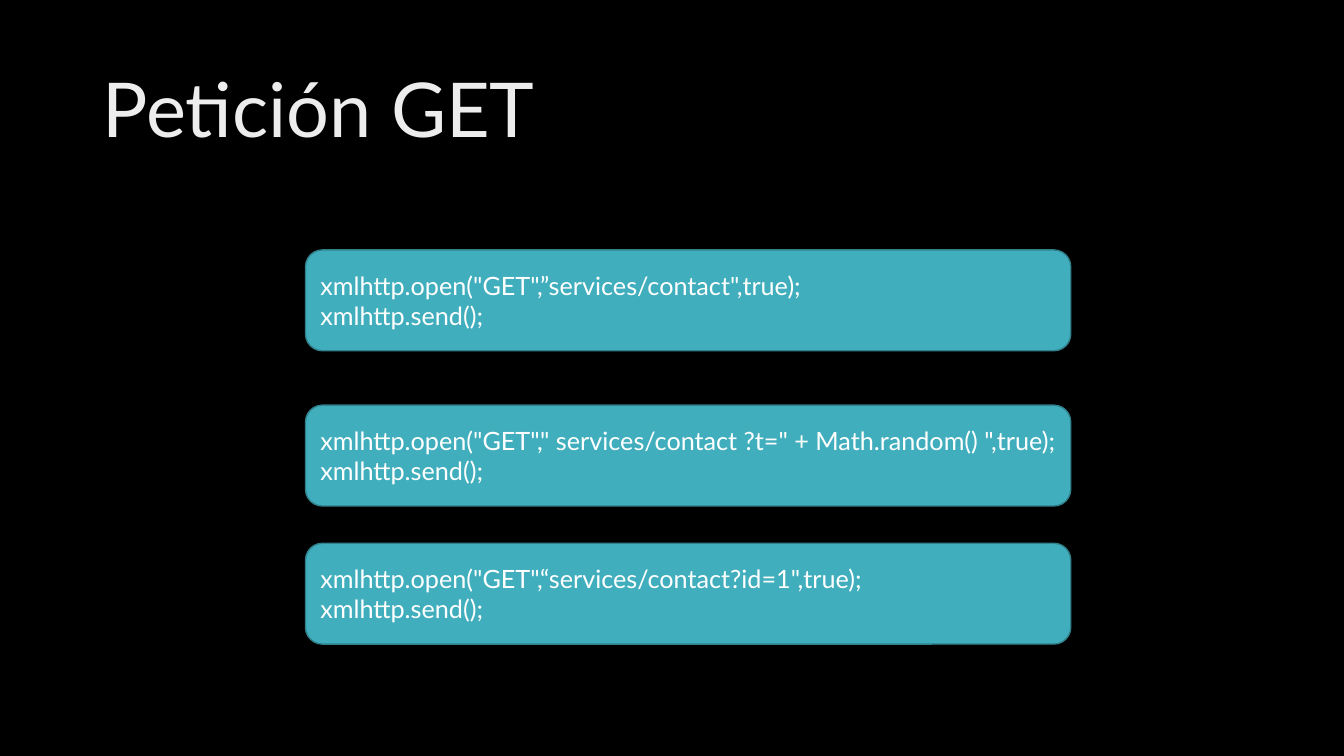
from pptx import Presentation
from pptx.dml.color import RGBColor
from pptx.enum.shapes import MSO_SHAPE as SHAPE
from pptx.enum.text import MSO_ANCHOR as ANCHOR, MSO_AUTO_SIZE as AUTOSIZE, PP_ALIGN as ALIGN
from pptx.util import Inches, Pt

# Content: top of each box in inches, and its request call
TITLE = "Petición GET"
SEND = "xmlhttp.send();"
REQUESTS = [
    (2.48, 'xmlhttp.open("GET",”services/contact",true);'),
    (4.02, 'xmlhttp.open("GET"," services/contact ?t=" + Math.random() ",true);'),
    (5.39, 'xmlhttp.open("GET",“services/contact?id=1",true);'),
]

FONT = "Lato"
BLACK = RGBColor(0x00, 0x00, 0x00)
WHITE = RGBColor(0xFF, 0xFF, 0xFF)
LIGHT_GRAY = RGBColor(0xED, 0xED, 0xED)
TEAL = RGBColor(0x41, 0xAE, 0xBD)
DARK_TEAL = RGBColor(0x30, 0x81, 0x8C)
BOX_LEFT, BOX_WIDTH, BOX_HEIGHT = Inches(3.03), Inches(7.59), Inches(1)


def set_text(sp, text, size, color):
    tf = sp.text_frame
    tf.word_wrap = True
    tf.auto_size = AUTOSIZE.NONE
    tf.vertical_anchor = ANCHOR.MIDDLE
    p = tf.paragraphs[0]
    p.text = text
    p.alignment = ALIGN.LEFT
    p.font.name = FONT
    p.font.size = Pt(size)
    p.font.color.rgb = color
    return p


prs = Presentation()
prs.slide_width, prs.slide_height = Inches(13.33), Inches(7.5)
s = prs.slides.add_slide(prs.slide_layouts[5])
s.background.fill.solid()
s.background.fill.fore_color.rgb = BLACK

# Title
title = s.shapes.title
title.left, title.top = Inches(0.92), Inches(0.4)
title.width, title.height = Inches(11.5), Inches(1.45)
set_text(title, TITLE, 54, LIGHT_GRAY).line_spacing = 0.9

# Request boxes, each with a line break before the send call
for top, call in REQUESTS:
    box = s.shapes.add_shape(SHAPE.ROUNDED_RECTANGLE, BOX_LEFT, Inches(top), BOX_WIDTH, BOX_HEIGHT)
    box.shadow.inherit = False
    box.fill.solid()
    box.fill.fore_color.rgb = TEAL
    box.line.color.rgb = DARK_TEAL
    box.line.width = Pt(1)
    set_text(box, f"{call}\v{SEND}", 18, WHITE)

prs.save("out.pptx")
